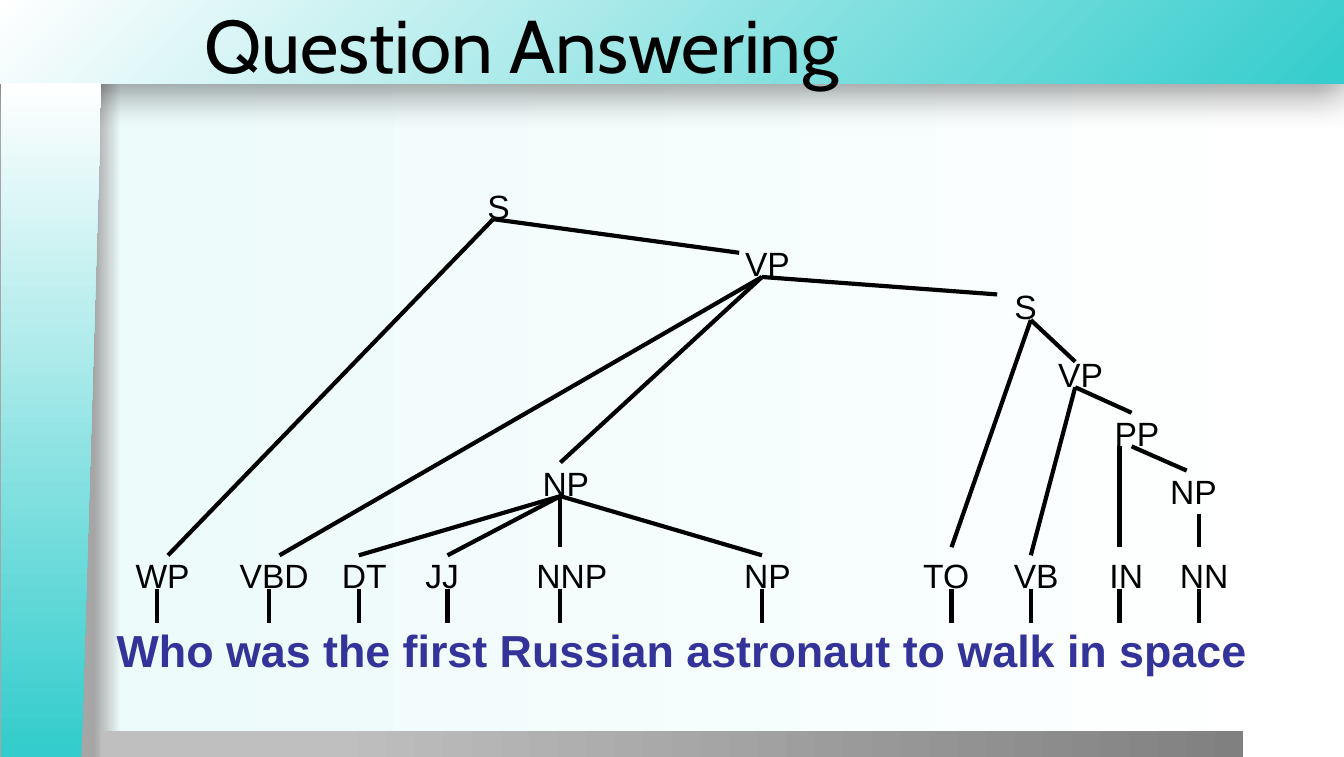
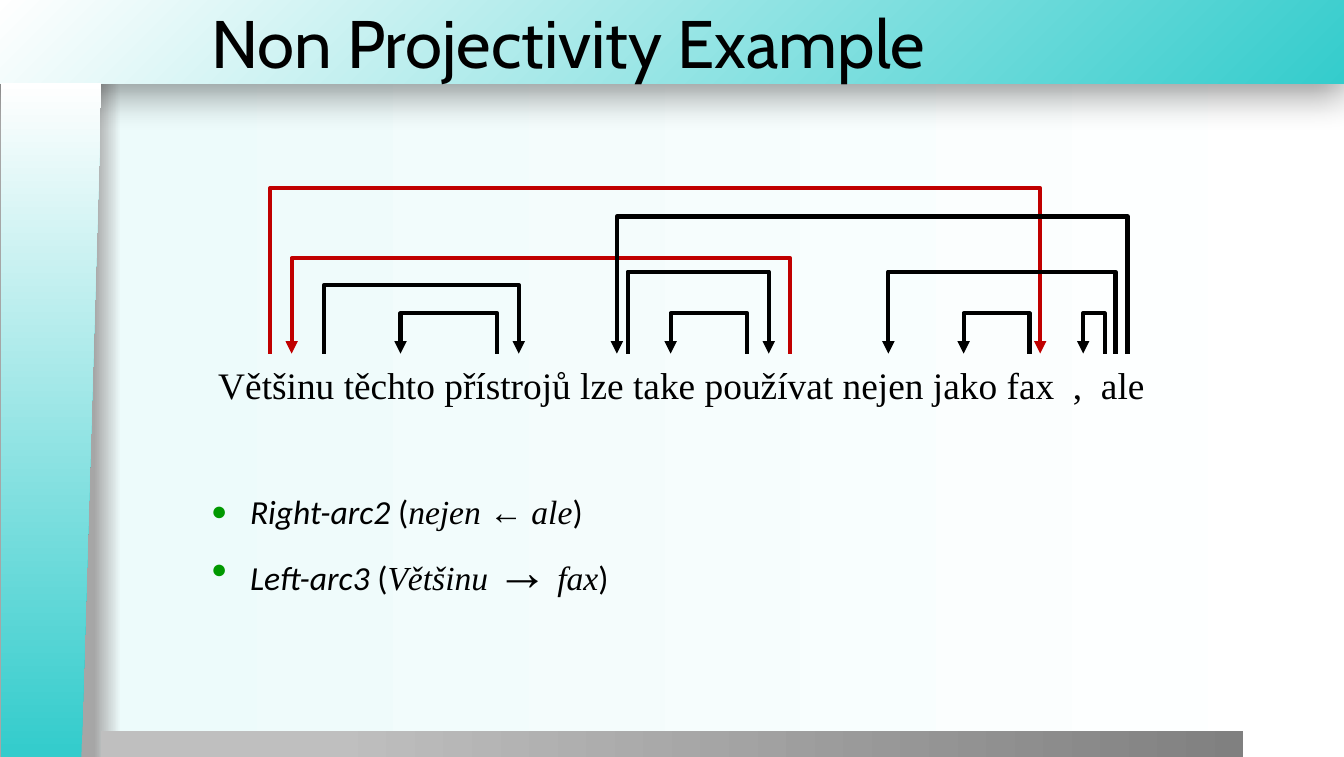
import pptx
import pptx.util
import pptx.dml.color
import pptx.enum.shapes
import pptx.enum.text
import pptx.oxml
import pptx.oxml.ns

COLORS = {
    "black": "000000", "white": "FFFFFF", "teal": "34CCCC", "mist": "EDFBFB",
    "edge": "A6A6A6", "silver": "BFBFBF", "gray": "808080",
    "sentence": "333399", "red": "C00000", "bullet": "009900",
}
NAMESPACE = pptx.oxml.ns.nsdecls("a")
TITLE_ONLY, TITLE_AND_CONTENT = 5, 1
RECTANGLE = pptx.enum.shapes.MSO_SHAPE.RECTANGLE
MANUAL_INPUT = pptx.enum.shapes.MSO_SHAPE.FLOWCHART_MANUAL_INPUT
LEFT = pptx.enum.text.PP_ALIGN.LEFT
CENTER = pptx.enum.text.PP_ALIGN.CENTER
TOP = pptx.enum.text.MSO_ANCHOR.TOP
MIDDLE = pptx.enum.text.MSO_ANCHOR.MIDDLE


def px(length):
    return pptx.util.Emu(length * 9144)


def rgb(name):
    return pptx.dml.color.RGBColor.from_string(COLORS[name])


def add_xml(parent, markup):
    tag, rest = markup[1:].split(" ", 1)
    parent.append(pptx.oxml.parse_xml(f"<{tag} {NAMESPACE} {rest}"))


class Deck:
    title_font, line_width = "Cabin", 2.25

    def __init__(self, width, height):
        self.presentation = pptx.Presentation()
        self.presentation.slide_width = px(width)
        self.presentation.slide_height = px(height)
        self.master = self.presentation.slide_master
        self.slide = None

    def new_slide(self, layout, title, box, size):
        layouts = self.presentation.slide_layouts
        self.slide = self.presentation.slides.add_slide(layouts[layout])
        shape = self.slide.shapes.title
        self.place(shape, box)
        shape.text_frame.text = title
        self.frame(shape.text_frame, MIDDLE)
        paragraph = shape.text_frame.paragraphs[0]
        paragraph.alignment = LEFT
        self.format(paragraph.runs[0], self.title_font, size)

    def place(self, shape, box):
        shape.left, shape.top, shape.width, shape.height = map(px, box)

    def frame(self, text_frame, anchor=TOP, inset=True):
        text_frame.word_wrap = True
        text_frame.auto_size = pptx.enum.text.MSO_AUTO_SIZE.NONE
        text_frame.vertical_anchor = anchor
        text_frame.margin_left = text_frame.margin_right = px(10 * inset)
        text_frame.margin_top = text_frame.margin_bottom = px(5 * inset)

    def format(self, run, font, size, color="black", bold=False, italic=False):
        run.font.name = font
        run.font.size = pptx.util.Pt(size)
        run.font.color.rgb = rgb(color)
        run.font.bold = bold
        run.font.italic = italic

    def gradient(self, fill, element, stops, direction='<a:lin ang="0" scaled="0"/>'):
        fill.gradient()
        gradient = element.find(".//" + pptx.oxml.ns.qn("a:gradFill"))
        for child in list(gradient):
            gradient.remove(child)
        marks = "".join(
            f'<a:gs pos="{position * 1000}"><a:srgbClr val="{COLORS[color]}"/></a:gs>'
            for position, color in stops)
        add_xml(gradient, f"<a:gsLst >{marks}</a:gsLst>")
        add_xml(gradient, direction)

    def band(self, kind, box, stops, **direction):
        shape = self.slide.shapes.add_shape(kind, *map(px, box))
        shape.shadow.inherit = False
        shape.line.fill.background()
        self.gradient(shape.fill, shape._element, stops, **direction)
        tree = self.master.shapes._spTree
        shape._element.nvSpPr.cNvPr.set("id", str(100 + len(tree)))
        tree.append(shape._element)
        return shape

    def backdrop(self):
        self.gradient(self.master.background.fill, self.master._element,
                      [(7, "edge"), (9, "mist"), (100, "white")])
        header = self.band(
            RECTANGLE, (-1, 0, 1001, 62), [(0, "teal"), (100, "white")],
            direction='<a:path path="circle"><a:fillToRect l="100000" t="100000"/></a:path>')
        effects = header._element.spPr.find(pptx.oxml.ns.qn("a:effectLst"))
        add_xml(effects, '<a:outerShdw blurRad="254000" dist="76200" dir="5400000" '
                         'algn="t" rotWithShape="0"><a:srgbClr val="000000">'
                         '<a:alpha val="40000"/></a:srgbClr></a:outerShdw>')
        self.band(RECTANGLE, (75, 544, 850, 20), [(20, "silver"), (100, "gray")])
        side = self.band(MANUAL_INPUT, (-213, 275, 502, 75), [(1, "teal"), (100, "white")])
        side.rotation = 270
        side._element.spPr.xfrm.set("flipV", "1")

    def text(self, text, box, font, size, align=CENTER, inset=False, **style):
        shape = self.slide.shapes.add_textbox(*map(px, box))
        shape.text_frame.text = text
        self.frame(shape.text_frame, inset=inset)
        paragraph = shape.text_frame.paragraphs[0]
        paragraph.alignment = align
        self.format(paragraph.runs[0], font, size, **style)

    def stroke(self, line, color="black"):
        line.color.rgb = rgb(color)
        line.width = pptx.util.Pt(self.line_width)

    def line(self, start, end):
        connector = self.slide.shapes.add_connector(
            pptx.enum.shapes.MSO_CONNECTOR.STRAIGHT, *map(px, start + end))
        self.stroke(connector.line)
        add_xml(connector._element.spPr, "<a:effectLst />")

    def arc(self, start, end, top, base, color):
        builder = self.slide.shapes.build_freeform(start, base, scale=px(1))
        builder.add_line_segments([(start, top), (end, top), (end, base)], close=False)
        shape = builder.convert_to_shape()
        shape.shadow.inherit = False
        shape.fill.background()
        self.stroke(shape.line, color)
        add_xml(shape.line._get_or_add_ln(), '<a:tailEnd type="triangle"/>')

    def bullets(self, box, items):
        shape = self.slide.placeholders[1]
        self.place(shape, box)
        self.frame(shape.text_frame)
        for index, parts in enumerate(items):
            text_frame = shape.text_frame
            paragraph = text_frame.add_paragraph() if index else text_frame.paragraphs[0]
            paragraph.space_before = pptx.util.Pt(3.6 if index else 0)
            properties = paragraph._p.get_or_add_pPr()
            properties.set("marL", str(px(29)))
            properties.set("indent", str(px(-29)))
            add_xml(properties, f'<a:buClr ><a:srgbClr val="{COLORS["bullet"]}"/></a:buClr>')
            add_xml(properties, '<a:buSzPct val="80000"/>')
            add_xml(properties, '<a:buChar char="●"/>')
            for text, font, size, italic in parts:
                run = paragraph.add_run()
                run.text = text
                self.format(run, font, size, italic=italic)


def parse_tree_slide(deck):
    deck.new_slide(TITLE_ONLY, "Question Answering", (142, 1, 782, 63), 40)
    deck.backdrop()
    deck.text("Who was the first Russian astronaut to walk in space", (77, 458, 900, 38),
              "Arial", 24, align=LEFT, inset=True, color="sentence", bold=True)

    tag_top, tag_width = 413, 42
    tags = [("WP", 100), ("VBD", 175), ("DT", 250), ("JJ", 308), ("NNP", 392),
            ("NP", 550), ("TO", 683), ("VB", 750), ("IN", 817), ("NN", 875)]
    phrases = [("NP", 400, 344), ("NP", 867, 350), ("PP", 825, 307), ("VP", 783, 263),
               ("S", 742, 213), ("VP", 550, 181), ("S", 350, 138)]
    wide_tags = {"VBD": 58, "NNP": 67}
    for label, left, top in [(tag, left, tag_top) for tag, left in tags] + phrases:
        width = wide_tags.get(label, tag_width)
        deck.text(label, (left, top, width, 23), "Arial", 18)

    for x in (117, 200, 267, 333, 417, 567, 708, 767, 833, 892):
        deck.line((x, 438), (x, 463))
    branches = {
        (892, 382): [(892, 407)],
        (417, 369): [(267, 413), (333, 413), (417, 407), (567, 413)],
        (833, 332): [(833, 407)],
        (842, 332): [(883, 350)],
        (567, 206): [(417, 344), (208, 413), (742, 219)],
        (767, 238): [(800, 269), (708, 407)],
        (800, 288): [(767, 413), (842, 307)],
        (367, 163): [(125, 413), (550, 188)],
    }
    for parent, children in branches.items():
        for child in children:
            deck.line(parent, child)


def projectivity_slide(deck):
    deck.new_slide(TITLE_AND_CONTENT, "Non Projectivity Example", (147, 0, 853, 62), 36)
    arcs = [(241, 386, 212, "black"), (370, 298, 233, "black"),
            (467, 572, 202, "black"), (556, 499, 233, "black"),
            (588, 217, 192, "red"), (201, 774, 140, "red"),
            (830, 661, 202, "black"), (839, 459, 161, "black"),
            (822, 806, 233, "black"), (766, 717, 233, "black")]
    for head, dependent, top, color in arcs:
        deck.arc(head, dependent, top, 263, color)
    serif, sans = "Times New Roman", "Calibri"
    deck.text("Většinu těchto přístrojů lze take používat nejen jako fax  ,  ale",
              (161, 269, 693, 29), serif, 20)
    deck.bullets((147, 360, 693, 101), [
        [("Right-arc2", sans, 18, True), (" (", sans, 18, False),
         ("nejen", serif, 18, True), (" ← ", serif, 18, False),
         ("ale", serif, 18, True), (")", sans, 18, False)],
        [("Left-arc3", sans, 18, True), (" (", sans, 18, False),
         ("Většinu ", serif, 18, True), ("→", serif, 28, False),
         (" ", serif, 18, False), ("fax", serif, 18, True), (")", sans, 18, False)],
    ])


def main():
    deck = Deck(1000, 563)
    parse_tree_slide(deck)
    projectivity_slide(deck)
    deck.presentation.save("out.pptx")


if __name__ == "__main__":
    main()
